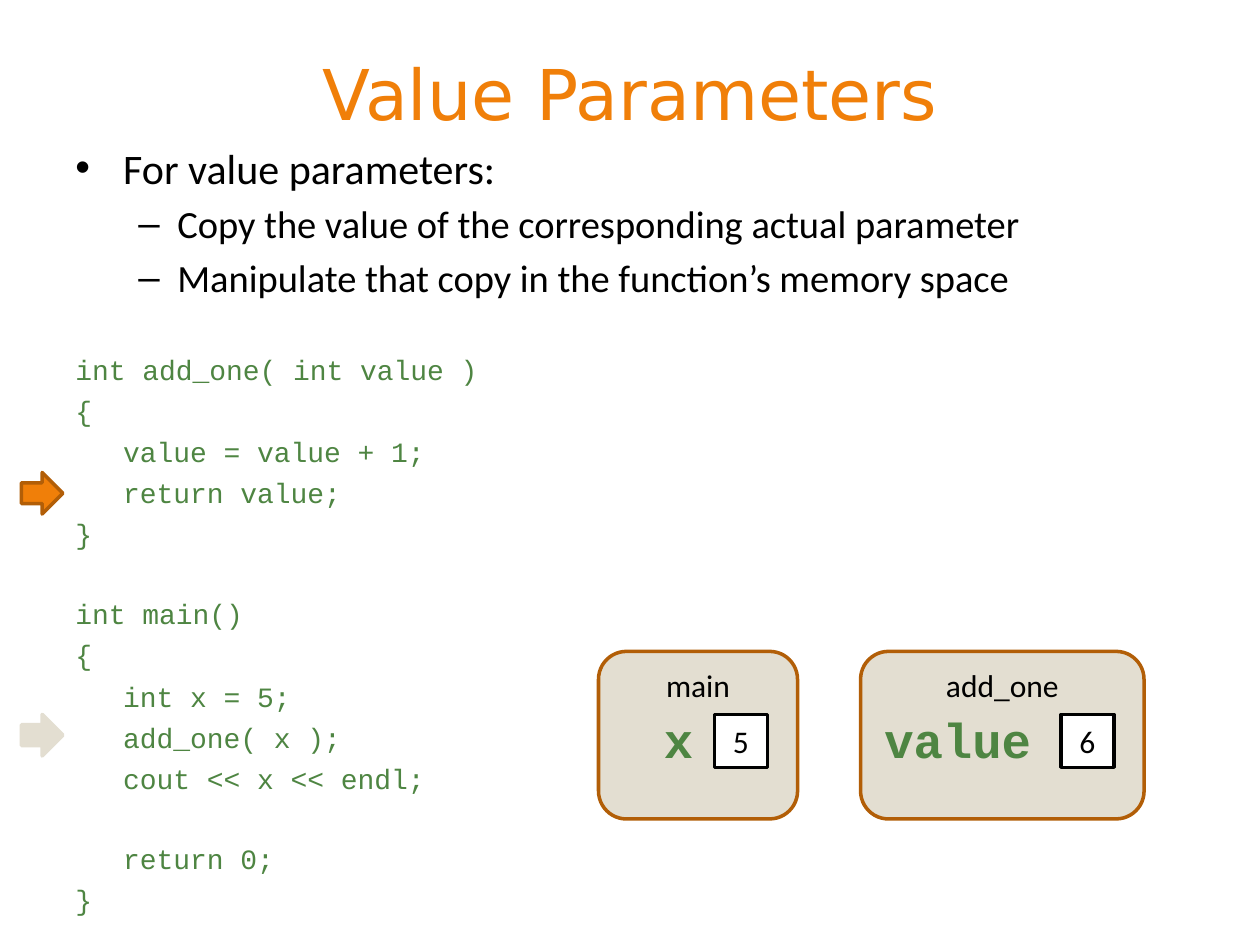
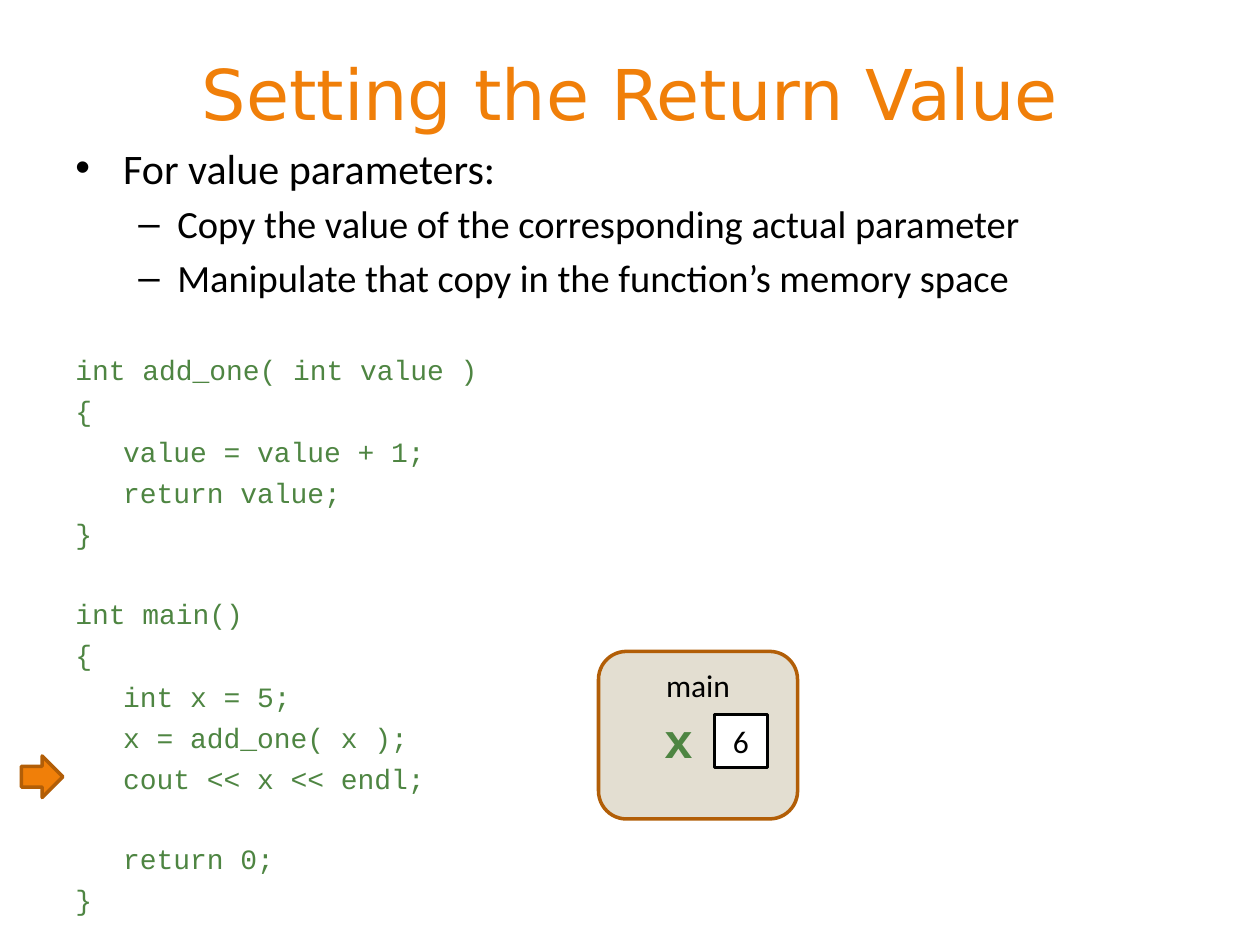
from dataclasses import dataclass

from lxml import etree
from pptx import Presentation
from pptx import util as u
from pptx.dml.color import RGBColor
from pptx.enum import shapes, text
from pptx.oxml import ns


@dataclass(frozen=True)
class Theme:
    """Colours, fonts and type sizes of the deck."""
    orange: str = "F07F09"
    rust: str = "B25E07"
    sand: str = "E3DED1"
    green: str = "4E8542"
    black: str = "000000"
    white: str = "FFFFFF"
    heading: str = "DejaVu Sans"
    prose: str = "Calibri"
    mono: str = "Courier New"
    title_size: int = 40
    point_size: int = 24
    subpoint_size: int = 22
    label_size: int = 18
    code_size: int = 16
    variable_size: int = 28
    outline: int = 2
    subpoint_gap: float = 4.4
    code_gap: float = 4.3
    section_gap: float = 29.5
    blank_line_gap: float = 26.7


THEME = Theme()
TITLE_FONT = {"name": THEME.heading, "size": THEME.title_size, "color": THEME.orange}
POINT_FONT = {"name": THEME.prose, "size": THEME.point_size, "color": THEME.black}
SUBPOINT_FONT = {**POINT_FONT, "size": THEME.subpoint_size}
LABEL_FONT = {**POINT_FONT, "size": THEME.label_size}
CODE_FONT = {"name": THEME.mono, "size": THEME.code_size, "color": THEME.green}
VARIABLE_FONT = {**CODE_FONT, "size": THEME.variable_size, "bold": True}

POINT = "For value parameters:"
SUBPOINTS = [
    "Copy the value of the corresponding actual parameter",
    "Manipulate that copy in the function’s memory space",
]
PROGRAM = """int add_one( int value )
{
\tvalue = value + 1;
\treturn value;
}

int main()
{
\tint x = 5;
\t%s
\tcout << x << endl;

\treturn 0;
}"""

FRAME_TOP, FRAME_HEIGHT = 5.17, 1.33
CELL_SIZE, CELL_INSET = 0.42, 0.66
ARROW_LEFT, ARROW_SIZE = 0.17, 0.33


def inches(*lengths):
    """Convert several lengths to Inches."""
    return [u.Inches(length) for length in lengths]


def write(paragraph, words, font):
    """Add a run whose font takes every given format value."""
    run = paragraph.add_run()
    run.text = words
    for key, value in font.items():
        if key == "color":
            run.font.color.rgb = RGBColor.from_string(value)
        else:
            setattr(run.font, key, u.Pt(value) if key == "size" else value)


def set_indent(paragraph, margin, hanging, bullet=None):
    """Give a paragraph a hanging indent and an optional bullet."""
    properties = paragraph._p.get_or_add_pPr()
    properties.set("marL", str(u.Inches(margin)))
    properties.set("indent", str(u.Inches(-hanging)))
    if bullet:
        etree.SubElement(properties, ns.qn("a:buFont")).set("typeface", "Arial")
        etree.SubElement(properties, ns.qn("a:buChar")).set("char", bullet)


def add_text_frame(slide, at, **settings):
    """Add a wrapping text box and return its text frame."""
    frame = slide.shapes.add_textbox(*inches(*at)).text_frame
    for key, value in {"word_wrap": True, **settings}.items():
        setattr(frame, key, value)
    return frame


def add_outlined(slide, preset, at, fill, outline):
    """Add a preset shape with a flat fill and outline."""
    shape = slide.shapes.add_shape(preset, *inches(*at))
    shape.shadow.inherit = False
    shape.fill.solid()
    shape.fill.fore_color.rgb = RGBColor.from_string(fill)
    shape.line.color.rgb = RGBColor.from_string(outline)
    shape.line.width = u.Pt(THEME.outline)
    return shape


def add_label(shape, words, anchor):
    """Write a centred label inside a shape."""
    shape.text_frame.vertical_anchor = anchor
    paragraph = shape.text_frame.paragraphs[0]
    paragraph.alignment = text.PP_ALIGN.CENTER
    write(paragraph, words, LABEL_FONT)


def add_title(slide, title):
    """Add the centred slide title."""
    frame = add_text_frame(slide, (0.5, 0.3, 9, 0.87),
                           vertical_anchor=text.MSO_ANCHOR.MIDDLE)
    paragraph = frame.paragraphs[0]
    paragraph.alignment = text.PP_ALIGN.CENTER
    write(paragraph, title, TITLE_FONT)


def add_explanation(slide, call):
    """Add the bullets and the program with the given call line."""
    frame = add_text_frame(slide, (0.5, 1.08, 9, 4.08))
    point = frame.paragraphs[0]
    set_indent(point, 0.38, 0.38, "•")
    write(point, POINT, POINT_FONT)
    for words in SUBPOINTS:
        subpoint = frame.add_paragraph()
        subpoint.level = 1
        subpoint.space_before = u.Pt(THEME.subpoint_gap)
        set_indent(subpoint, 0.81, 0.31, "–")
        write(subpoint, words, SUBPOINT_FONT)
    gap = THEME.section_gap
    for code in (PROGRAM % call).splitlines():
        if not code:
            gap = THEME.blank_line_gap
            continue
        line = frame.add_paragraph()
        line.space_before = u.Pt(gap)
        set_indent(line, 0.38, 0.38)
        write(line, code, CODE_FONT)
        gap = THEME.code_gap


def add_memory(slide, function, left, width, variable, variable_width, value):
    """Add a function's memory space holding one variable."""
    memory = add_outlined(slide, shapes.MSO_SHAPE.ROUNDED_RECTANGLE,
                          (left, FRAME_TOP, width, FRAME_HEIGHT), THEME.sand, THEME.rust)
    add_label(memory, function, text.MSO_ANCHOR.TOP)
    cell_left = left + width - CELL_INSET
    cell = add_outlined(slide, shapes.MSO_SHAPE.RECTANGLE,
                        (cell_left, FRAME_TOP + 0.5, CELL_SIZE, CELL_SIZE),
                        THEME.white, THEME.black)
    add_label(cell, value, text.MSO_ANCHOR.MIDDLE)
    name = add_text_frame(slide, (cell_left - variable_width, 5.58, variable_width, 0.57),
                          auto_size=text.MSO_AUTO_SIZE.SHAPE_TO_FIT_TEXT)
    write(name.paragraphs[0], variable, VARIABLE_FONT)


def add_main_memory(slide, value):
    """Add the memory space of main with the value of x."""
    add_memory(slide, "main", 4.75, 1.58, "x", 0.5, value)


def add_step_arrow(slide, top, fill=THEME.orange, outline=THEME.rust):
    """Mark a line of the program with an arrow."""
    add_outlined(slide, shapes.MSO_SHAPE.RIGHT_ARROW,
                 (ARROW_LEFT, top, ARROW_SIZE, ARROW_SIZE), fill, outline)


def add_code_slide(deck, title, call):
    """Add a slide with its title, bullets and program."""
    slide = deck.slides.add_slide(deck.slide_layouts[6])
    add_title(slide, title)
    add_explanation(slide, call)
    return slide


def main():
    """Build and save the deck."""
    deck = Presentation()
    deck.slide_width, deck.slide_height = inches(10, 7.5)

    parameters = add_code_slide(deck, "Value Parameters", "add_one( x );")
    add_main_memory(parameters, "5")
    add_memory(parameters, "add_one", 6.83, 2.25, "value", 1.5, "6")
    add_step_arrow(parameters, 3.75)
    add_step_arrow(parameters, 5.67, THEME.sand, THEME.sand)

    returned = add_code_slide(deck, "Setting the Return Value", "x = add_one( x );")
    add_main_memory(returned, "6")
    add_step_arrow(returned, 6)

    deck.save("out.pptx")


if __name__ == "__main__":
    main()
